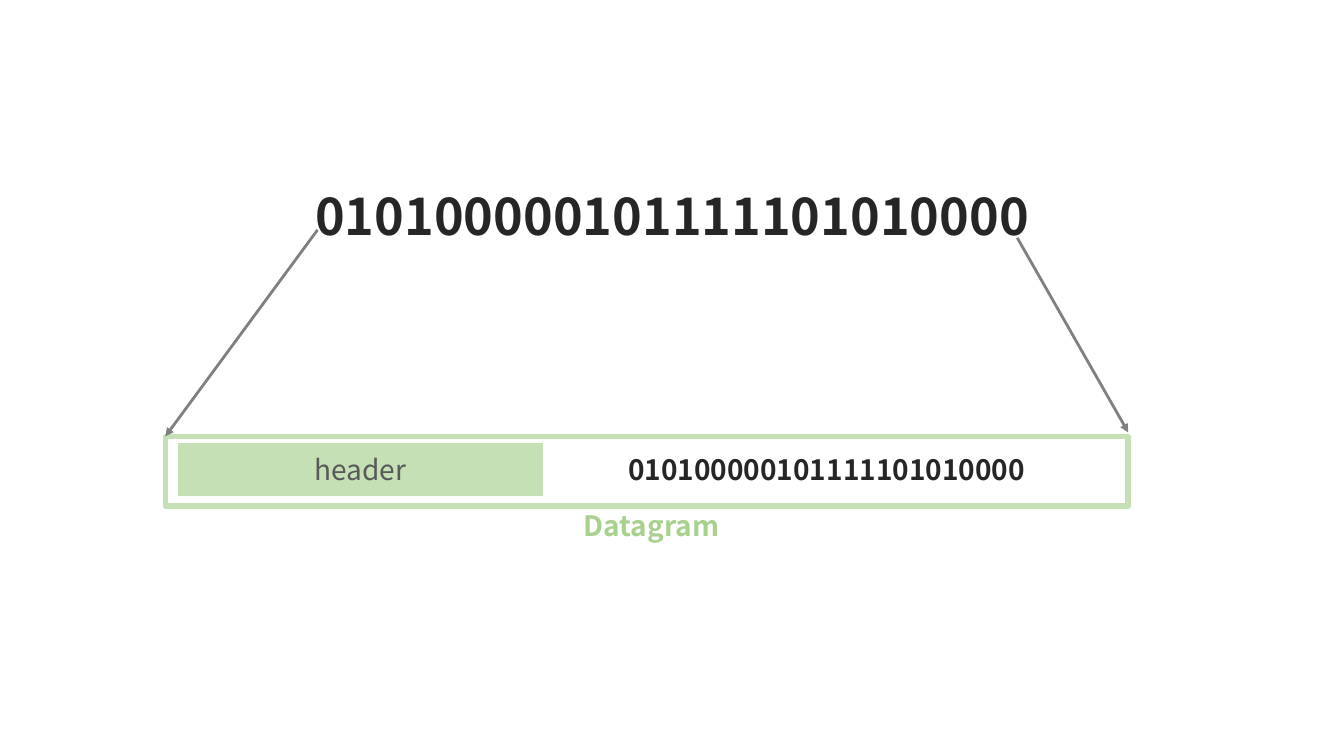
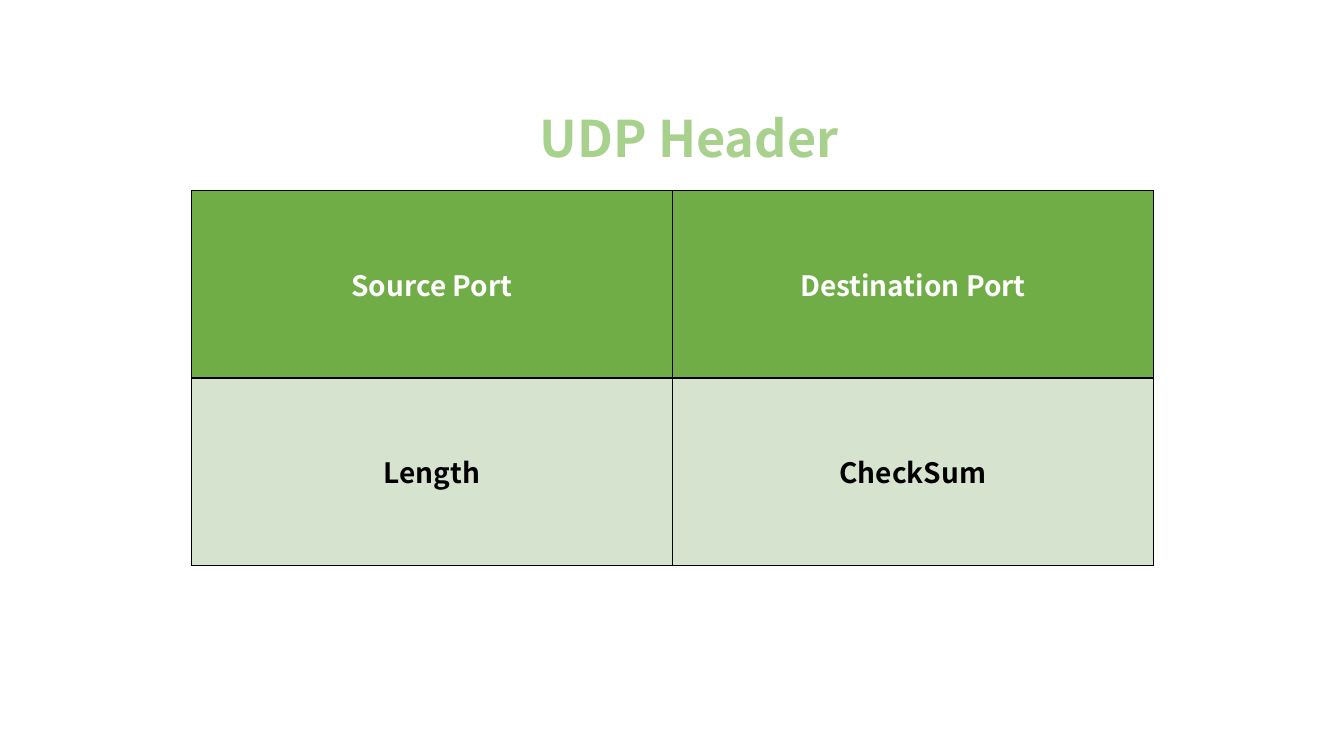
"""Builds two slides on datagrams and the UDP header."""
from typing import NamedTuple

from pptx import Presentation
from pptx.dml.color import RGBColor
from pptx.enum.shapes import MSO_CONNECTOR, MSO_SHAPE
from pptx.enum.text import MSO_ANCHOR, MSO_AUTO_SIZE, PP_ALIGN
from pptx.oxml import parse_xml
from pptx.oxml.ns import nsdecls, qn
from pptx.slide import Slide
from pptx.table import _Cell
from pptx.text.text import TextFrame
from pptx.util import Inches, Pt

STRAIGHT = MSO_CONNECTOR.STRAIGHT
RECT = MSO_SHAPE.RECTANGLE
MIDDLE = MSO_ANCHOR.MIDDLE
NO_FIT = MSO_AUTO_SIZE.NONE
LEFT, CENTER = PP_ALIGN.LEFT, PP_ALIGN.CENTER

FONT = "Noto Sans CJK KR"
WHITE, BLACK, INK = "FFFFFF", "000000", "262626"
GRAY, DARK = "808080", "595959"
PALE, LIGHT, GREEN, TINT = "C5E0B4", "A9D18E", "70AD47", "D5E3CF"
LARGE, SMALL = 36, 20
BITS = "010100000101111101010000"


class Area(NamedTuple):
    """Place and size in inches."""
    left: float
    top: float
    width: float
    height: float


class Label(NamedTuple):
    """Text with its look."""
    text: str
    size: int
    color: str
    align: PP_ALIGN = CENTER
    bold: bool = True


class Box(NamedTuple):
    """Outlined rectangle with an optional fill and label."""
    area: Area
    line: str
    weight: float
    fill: str | None = None
    label: Label | None = None


class Arrow(NamedTuple):
    """Start and end points in inches."""
    start: tuple[float, float]
    end: tuple[float, float]


class Row(NamedTuple):
    """Table row with its colours."""
    texts: tuple[str, ...]
    fill: str
    color: str


FRAME = Area(1.64, 4.33, 9.55, 0.69)
BOXES = (
    Box(FRAME, PALE, 4),
    Box(Area(1.76, 4.39, 3.63, 0.54), WHITE, 1, PALE,
        Label("header", SMALL, DARK, bold=False)),
)
TEXTS = (
    (Area(2.92, 1.79, 7.49, 0.69), Label(BITS, LARGE, INK)),
    (Area(5.21, 4.45, 5.98, 0.41), Label(BITS, SMALL, INK)),
    (Area(5.69, 4.92, 1.88, 0.58), Label("Datagram", SMALL, LIGHT, LEFT)),
)
ARROWS = (
    Arrow((3.15, 2.28), (FRAME.left, FRAME.top)),
    Arrow((10.09, 2.36), (FRAME.left + FRAME.width, 4.29)),
)
TITLE = Label("UDP Header", LARGE, LIGHT, LEFT)
TITLE_AREA = Area(5.25, 0.99, 4.39, 0.75)
GRID = Area(1.9, 1.89, 9.54, 3.72)
ROWS = (
    Row(("Source Port", "Destination Port"), GREEN, WHITE),
    Row(("Length", "CheckSum"), TINT, BLACK),
)


def rgb(code: str) -> RGBColor:
    """Return the colour for a hex string."""
    return RGBColor.from_string(code)


def place(area: Area) -> tuple[Inches, ...]:
    """Return the area as lengths."""
    return tuple(Inches(side) for side in area)


def write(frame: TextFrame, label: Label) -> None:
    """Put a label in a text frame."""
    frame.word_wrap = True
    frame.auto_size = NO_FIT
    frame.vertical_anchor = MIDDLE
    style(frame, label)


def style(frame: TextFrame, label: Label) -> None:
    """Set the text and font of the only paragraph."""
    frame.text = label.text
    para = frame.paragraphs[0]
    para.alignment = label.align
    font = para.font
    font.name, font.size, font.bold = FONT, Pt(label.size), label.bold
    font.color.rgb = rgb(label.color)


def add_box(slide: Slide, box: Box) -> None:
    """Draw a rectangle."""
    shape = slide.shapes.add_shape(RECT, *place(box.area))
    shape.shadow.inherit = False
    shape.line.color.rgb = rgb(box.line)
    shape.line.width = Pt(box.weight)
    if box.fill:
        shape.fill.solid()
        shape.fill.fore_color.rgb = rgb(box.fill)
    else:
        shape.fill.background()
    if box.label:
        write(shape.text_frame, box.label)


def add_text(slide: Slide, area: Area, label: Label) -> None:
    """Draw a text box."""
    write(slide.shapes.add_textbox(*place(area)).text_frame, label)


def add_arrow(slide: Slide, arrow: Arrow) -> None:
    """Draw a line with an arrowhead at its end."""
    ends = (Inches(side) for side in arrow.start + arrow.end)
    line = slide.shapes.add_connector(STRAIGHT, *ends)
    line.line.color.rgb = rgb(GRAY)
    line.line.width = Pt(2)
    props = line.element.spPr
    head = f'<a:tailEnd {nsdecls("a")} type="triangle"/>'
    props.find(qn("a:ln")).append(parse_xml(head))
    props.append(parse_xml(f'<a:effectLst {nsdecls("a")}/>'))


def add_edges(cell: _Cell) -> None:
    """Give a cell thin black borders."""
    props = cell._tc.get_or_add_tcPr()
    for side in "LRTB":
        props.append(parse_xml(
            f'<a:ln{side} {nsdecls("a")} w="{Pt(1)}"><a:solidFill>'
            f'<a:srgbClr val="{BLACK}"/></a:solidFill></a:ln{side}>'))


def add_grid(slide: Slide, area: Area, rows: tuple[Row, ...]) -> None:
    """Draw the table of header fields."""
    count = len(rows[0].texts)
    table = slide.shapes.add_table(len(rows), count, *place(area)).table
    for y, row in enumerate(rows):
        for x, text in enumerate(row.texts):
            cell = table.cell(y, x)
            add_edges(cell)
            cell.fill.solid()
            cell.fill.fore_color.rgb = rgb(row.fill)
            cell.vertical_anchor = MIDDLE
            style(cell.text_frame, Label(text, SMALL, row.color))


def add_title(slide: Slide, area: Area, label: Label) -> None:
    """Move and fill the title placeholder."""
    title = slide.shapes.title
    title.left, title.top, title.width, title.height = place(area)
    write(title.text_frame, label)


def main() -> None:
    """Build and save the slides."""
    deck = Presentation()
    deck.slide_width, deck.slide_height = Inches(13.33), Inches(7.5)

    slide = deck.slides.add_slide(deck.slide_layouts.get_by_name("Blank"))
    for box in BOXES:
        add_box(slide, box)
    for area, label in TEXTS:
        add_text(slide, area, label)
    for arrow in ARROWS:
        add_arrow(slide, arrow)

    slide = deck.slides.add_slide(deck.slide_layouts.get_by_name("Title Only"))
    add_title(slide, TITLE_AREA, TITLE)
    add_grid(slide, GRID, ROWS)

    deck.save("out.pptx")


if __name__ == "__main__":
    main()
